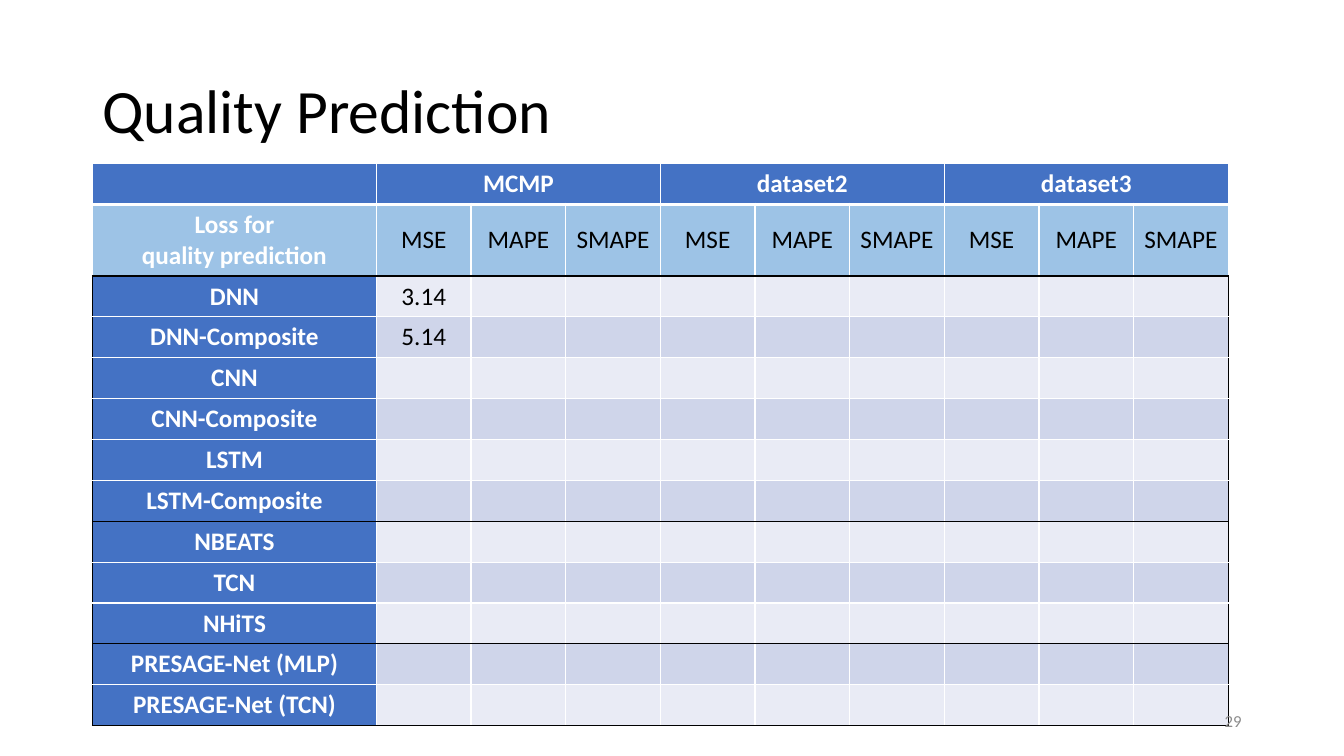
from lxml.etree import SubElement
from pptx import Presentation
from pptx.dml.color import RGBColor
from pptx.enum.text import MSO_ANCHOR as Anchor, MSO_AUTO_SIZE as AutoSize, PP_ALIGN as Align
from pptx.oxml.ns import qn
from pptx.util import Cm, Pt

WHITE, BLACK, GREY = "FFFFFF", "000000", "8C8C8C"
BLUE, LIGHT_BLUE = "4472C4", "9DC3E6"
BANDS = ("E9EBF5", "CFD5EA")

DATASETS = ["MCMP", "dataset2", "dataset3"]
METRICS = ["MSE", "MAPE", "SMAPE"]
# Models in groups; a black rule closes each group
MODEL_GROUPS = [
    ["DNN", "DNN-Composite", "CNN", "CNN-Composite", "LSTM", "LSTM-Composite"],
    ["NBEATS", "TCN", "NHiTS"],
    ["PRESAGE-Net (MLP)", "PRESAGE-Net (TCN)"],
]
LOSSES = {("DNN", 1): "3.14", ("DNN-Composite", 1): "5.14"}
HEADER_ROWS = 2


def rgb(value):
    return RGBColor.from_string(value)


def put_text(frame, text, size=18, color=BLACK, bold=False, align=Align.CENTER,
             font="Calibri", line_spacing=None):
    for index, line in enumerate(text.split("\n")):
        paragraph = frame.add_paragraph() if index else frame.paragraphs[0]
        paragraph.alignment = align
        paragraph.line_spacing = line_spacing
        run = paragraph.add_run()
        run.text = line
        run.font.name, run.font.size, run.font.bold = font, Pt(size), bold
        run.font.color.rgb = rgb(color)


class SlideBuilder:
    def __init__(self, deck):
        self.slide = deck.slides.add_slide(deck.slide_layouts[5])

    def title(self, text, box):
        heading = self.slide.shapes.title
        heading.left, heading.top, heading.width, heading.height = map(Cm, box)
        frame = heading.text_frame
        frame.auto_size = AutoSize.NONE
        frame.vertical_anchor = Anchor.MIDDLE
        put_text(frame, text, size=44, align=Align.LEFT, line_spacing=0.9)

    def label(self, text, box, **style):
        frame = self.slide.shapes.add_textbox(*map(Cm, box)).text_frame
        frame.word_wrap = True
        frame.vertical_anchor = Anchor.MIDDLE
        put_text(frame, text, **style)

    def table(self, rows, widths, left, top, row_height):
        grid = self.slide.shapes.add_table(
            rows, len(widths), Cm(left), Cm(top), Cm(sum(widths)), Cm(row_height * rows)).table
        grid.first_row = grid.horz_banding = False
        for column, width in zip(grid.columns, widths):
            column.width = Cm(width)
        for row in grid.rows:
            row.height = Cm(row_height)
        return grid

    def cell(self, cell, text, fill, borders, **style):
        properties = cell._tc.get_or_add_tcPr()
        for side, (color, points) in zip("LRTB", borders):
            line = SubElement(properties, qn(f"a:ln{side}"), w=str(Pt(points)))
            SubElement(SubElement(line, qn("a:solidFill")), qn("a:srgbClr"), val=color)
        cell.fill.solid()
        cell.fill.fore_color.rgb = rgb(fill)
        cell.vertical_anchor = Anchor.MIDDLE
        if text:
            put_text(cell.text_frame, text, **style)


def loss_rows():
    """Return the table wording, row by row."""
    spread = [name for dataset in DATASETS for name in (dataset, "", "")]
    rows = [[""] + spread, ["Loss for\nquality prediction"] + METRICS * len(DATASETS)]
    for group in MODEL_GROUPS:
        for model in group:
            rows.append([model] + [LOSSES.get((model, col), "") for col in range(1, 10)])
    return rows


def row_rules(count):
    """Return colour and width of each horizontal rule, top to bottom."""
    rules = [(WHITE, 1)] * (count + 1)
    rules[1] = (WHITE, 3)
    position = HEADER_ROWS
    rules[position] = (BLACK, 1)
    for group in MODEL_GROUPS:
        position += len(group)
        rules[position] = (BLACK, 1)
    return rules


def fill_for(row, col):
    if row == 1:
        return LIGHT_BLUE
    return BLUE if row == 0 or col == 0 else BANDS[row % 2]


def main():
    deck = Presentation()
    deck.slide_width, deck.slide_height = Cm(33.87), Cm(19.05)
    page = SlideBuilder(deck)
    page.title("Quality Prediction", (2.33, 1.01, 29.21, 3.68))

    # Loss table: the model column is as wide as three metric columns
    rows = loss_rows()
    rules = row_rules(len(rows))
    unit = 28.63 / 12
    losses = page.table(len(rows), [3 * unit] + [unit] * 9, 2.33, 4.12, 1.03)
    for row, texts in enumerate(rows):
        outer = (BLACK if row >= HEADER_ROWS else WHITE, 1)
        for col, text in enumerate(texts):
            heading = row == 0 or col == 0
            borders = (outer if col == 0 else (WHITE, 1),
                       outer if col == len(texts) - 1 else (WHITE, 1),
                       rules[row], rules[row + 1])
            page.cell(losses.cell(row, col), text, fill_for(row, col), borders,
                      color=WHITE if heading else BLACK, bold=heading)

    # Each dataset heading spans its metrics
    for first in range(1, 10, len(METRICS)):
        losses.cell(0, first).merge(losses.cell(0, first + len(METRICS) - 1))

    # Page number
    page.label("29", (23.92, 17.66, 7.62, 1.01), size=12, color=GREY, align=Align.RIGHT)
    deck.save("out.pptx")


if __name__ == "__main__":
    main()
